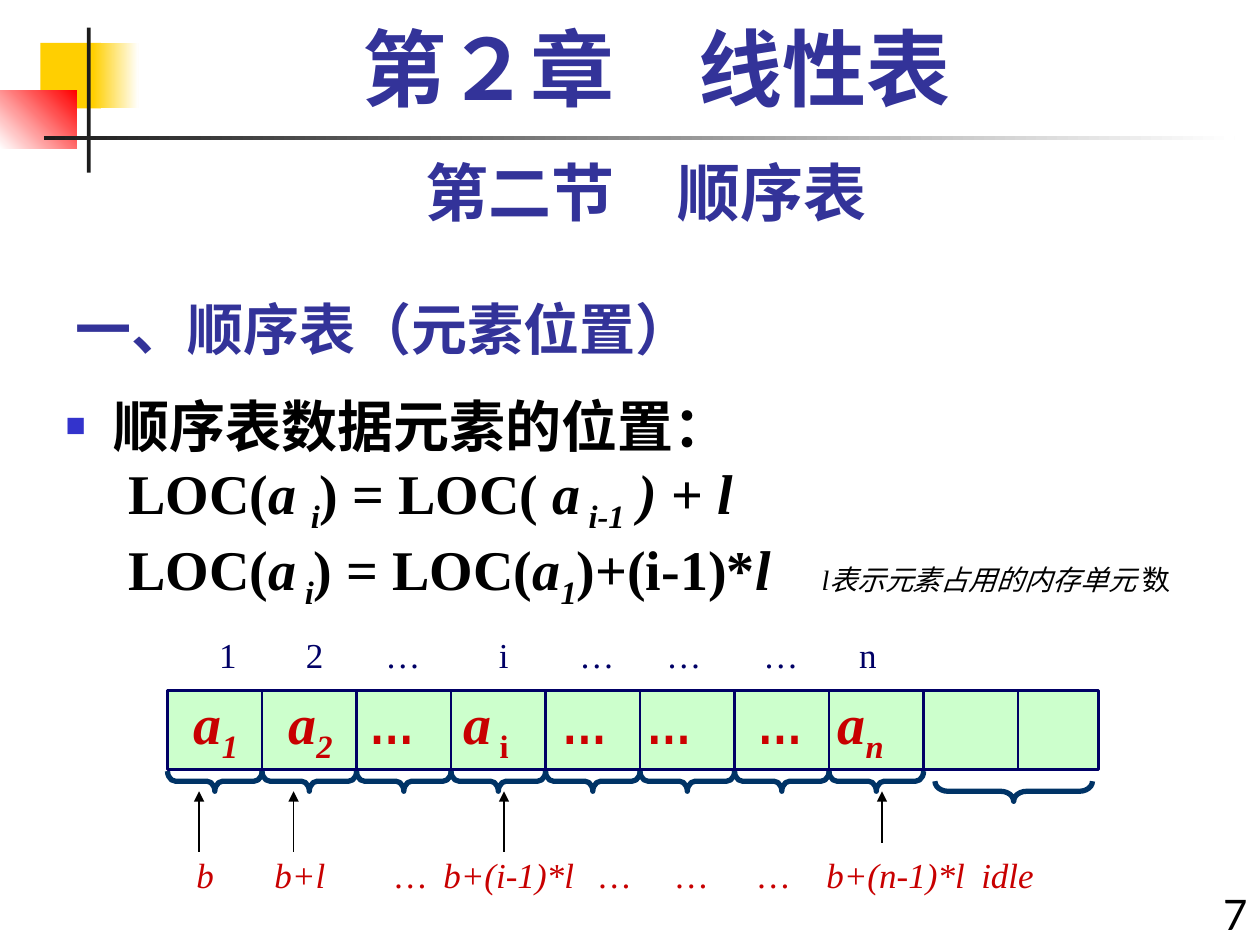
import pptx
import pptx.util
import pptx.dml.color
import pptx.enum.shapes
import pptx.enum.text
import pptx.oxml.ns
import lxml.etree

Inches, Pt = pptx.util.Inches, pptx.util.Pt
SHAPE = pptx.enum.shapes.MSO_SHAPE
ALIGN = pptx.enum.text.PP_ALIGN
ANCHOR = pptx.enum.text.MSO_ANCHOR
qn = pptx.oxml.ns.qn

COLORS = {"gold": "FFCF01", "red": "FF0000", "white": "FFFFFF", "bar": "1C1C1C",
          "heading": "333399", "text": "000000", "bullet": "3333CC", "cell": "CCFFCC",
          "grid": "000066", "brace": "003366", "label": "C80000", "dots": "CC0000"}
CJK, SERIF, SANS = "Noto Sans CJK SC", "Times New Roman", "Lato"

# ---- Content: runs are (text, marks), i = italic, s = subscript, n = note, d = dots
CHAPTER = "第２章\u3000线性表".replace("\u3000", "　")
SECTION = "第二节　顺序表"
TOPIC = "一、顺序表（元素位置）"
LEAD = "顺序表数据元素的位置："
FORMULAS = [
    [("\tLOC(", ""), ("a ", "i"), ("i", "is"), (") = LOC(", ""), (" a", "i"),
     (" i-1", "is"), (" ) ", "i"), ("+ ", ""), ("l", "i")],
    [("\tLOC(", ""), ("a", "i"), (" i", "is"), (") = LOC(", ""), ("a", "i"),
     ("1", "is"), (")+(i-1)*", ""), ("l", "i"), ("\tl表示元素占用的内存单元", "in"),
     (" 数", "n")],
]
DOTS = [("…", "d")]
# Each label is paired with the x position where it starts
INDEXES = [("1", 1.74), ("2", 2.43), ("…", 3.06), ("i", 3.96), ("…", 4.6),
           ("…", 5.29), ("…", 6.06), ("n", 6.82)]
ELEMENTS = [([("a", "i"), ("1", "is")], 1.54), ([("a", "i"), ("2", "is")], 2.29),
            (DOTS, 2.93), ([("a", "i"), (" i", "s")], 3.68), (DOTS, 4.46),
            (DOTS, 5.13), (DOTS, 6.01), ([("a", "i"), ("n", "is")], 6.65)]
ADDRESSES = [("b", 1.56), ("b+l", 2.18), ("…", 3.14), ("b+(i-1)*l", 3.52), ("…", 4.76),
             ("…", 5.37), ("…", 6.02), ("b+(n-1)*l", 6.56), ("idle", 7.79)]
ARROWS = [(1.58, 6.76), (2.33, 6.76), (4, 6.76), (7, 6.69)]  # x, lower end

# ---- Array geometry
ARRAY_LEFT, ARRAY_TOP, ARRAY_WIDTH, ARRAY_HEIGHT = 1.33, 5.48, 7.39, 0.63
CELL, USED_CELLS, DIVIDERS = 0.75, 8, 9
BRACE_DEPTH, ARROW_TIP = 0.16, 6.28


def rgb(name):
    return pptx.dml.color.RGBColor.from_string(COLORS[name])


def style(font, size, face, color, bold=False, italic=False):
    font.size, font.name, font.bold, font.italic = Pt(size), face, bold, italic
    font.color.rgb = rgb(color)
    lxml.etree.SubElement(font._rPr, qn("a:ea"), typeface=CJK)


def add_runs(paragraph, runs):
    for text, marks in runs:
        run = paragraph.add_run()
        run.text = text
        if "i" in marks:
            run.font.italic = True
        if "s" in marks:
            run.font._rPr.set("baseline", "-25000")
        if "n" in marks:
            run.font.size, run.font.bold = Pt(16), False
        if "d" in marks:
            run.font.name = "Arial Narrow"
            run.font.color.rgb = rgb("dots")


def set_tabs(paragraph, stops):
    tabs = lxml.etree.SubElement(paragraph._p.get_or_add_pPr(), qn("a:tabLst"))
    for stop in stops:
        lxml.etree.SubElement(tabs, qn("a:tab"), pos=str(Inches(stop)), algn="l")


def place(shape, left, top, width, height):
    shape.left, shape.top = Inches(left), Inches(top)
    shape.width, shape.height = Inches(width), Inches(height)


def add_text(box, text, align=None, before=0, top_inset=0.05):
    """Text box with one paragraph, returned for styling."""
    frame = slide.shapes.add_textbox(*map(Inches, box)).text_frame
    frame.word_wrap = True
    frame.margin_top = Inches(top_inset)
    paragraph = frame.paragraphs[0]
    paragraph.alignment, paragraph.space_before = align, Pt(before)
    paragraph.add_run().text = text
    return paragraph


def add_label_row(box, labels, top_inset, color, italic=False):
    row = add_text(box, "".join("\t" + text for text, x in labels), top_inset=top_inset)
    set_tabs(row, [x - box[0] - 0.1 for text, x in labels])
    style(row.font, 20, SERIF, color, italic=italic)


def add_box(box, colors, angle=0):
    shape = slide.shapes.add_shape(SHAPE.RECTANGLE, *map(Inches, box))
    shape.shadow.inherit = False
    shape.line.fill.background()
    if len(colors) == 1:
        shape.fill.solid()
        shape.fill.fore_color.rgb = rgb(colors[0])
    else:
        shape.fill.gradient()
        shape.fill.gradient_angle = angle
        for stop, color in zip(shape.fill.gradient_stops, colors):
            stop.color.rgb = rgb(color)
    return shape


def add_line(x, start, end, color, width, arrow=False):
    line = slide.shapes.add_connector(pptx.enum.shapes.MSO_CONNECTOR.STRAIGHT,
                                      Inches(x), Inches(start), Inches(x), Inches(end))
    line.line.color.rgb, line.line.width = rgb(color), Pt(width)
    if arrow:
        lxml.etree.SubElement(line.line._get_or_add_ln(), qn("a:tailEnd"), type="triangle")
    lxml.etree.SubElement(line._element.spPr, qn("a:effectLst"))


def add_brace(left, top, length):
    """Brace opening upwards: a left brace turned a quarter."""
    center_x, center_y = left + length / 2, top + BRACE_DEPTH / 2
    brace = slide.shapes.add_shape(
        SHAPE.LEFT_BRACE, Inches(center_x - BRACE_DEPTH / 2), Inches(center_y - length / 2),
        Inches(BRACE_DEPTH), Inches(length))
    brace.rotation = 270
    brace.adjustments[0] = length / 12 / BRACE_DEPTH
    brace.shadow.inherit = False
    brace.fill.background()
    brace.line.color.rgb, brace.line.width = rgb("brace"), Pt(3)


prs = pptx.Presentation()
prs.slide_width, prs.slide_height = Inches(10), Inches(7.5)
slide = prs.slides.add_slide(prs.slide_layouts[1])

# Corner decoration
add_box((0.32, 0.34, 0.48, 0.52), ["gold"])
add_box((0.74, 0.34, 0.36, 0.52), ["gold", "white"])
add_box((0, 0.72, 0.61, 0.46), ["white", "red"], 45)
add_box((0.69, 0.22, 0.03, 1.15), ["bar"])
add_box((0.35, 1.08, 9.45, 0.03), ["bar", "white"])

# Headings and slide number
chapter = add_text((0.67, 0.17, 9.08, 0.83), CHAPTER, ALIGN.CENTER, 12)
chapter.line_spacing = 0.9
style(chapter.font, 48, SERIF, "heading", bold=True)
section = add_text((0.5, 1.17, 9.25, 0.7), SECTION, ALIGN.CENTER, 22.5)
style(section.font, 36, SANS, "heading", bold=True)
number = add_text((9.33, 7, 0.67, 0.59), "7", ALIGN.RIGHT, 15)
style(number.font, 24, SANS, "text")

title = slide.shapes.title
place(title, 0.5, 2.17, 6.25, 0.75)
title.text_frame.text = TOPIC
title.text_frame.auto_size = pptx.enum.text.MSO_AUTO_SIZE.NONE
title.text_frame.vertical_anchor = ANCHOR.BOTTOM
topic = title.text_frame.paragraphs[0]
topic.alignment = ALIGN.LEFT
style(topic.font, 32, CJK, "heading", bold=True)

# Body: bulleted lead, then the formulas
body = slide.placeholders[1]
place(body, 0.42, 3, 9.58, 4.33)
body.text_frame.auto_size = pptx.enum.text.MSO_AUTO_SIZE.NONE
body.text_frame.margin_right = 0
body.text_frame.text = LEAD
lead = body.text_frame.paragraphs[0]
lead.line_spacing, lead.space_before = 1.1, Pt(28)
props = lead._p.get_or_add_pPr()
props.set("marL", str(Inches(0.38)))
props.set("indent", str(Inches(-0.38)))
bullet_color = lxml.etree.SubElement(props, qn("a:buClr"))
lxml.etree.SubElement(bullet_color, qn("a:srgbClr"), val=COLORS["bullet"])
lxml.etree.SubElement(props, qn("a:buSzPct"), val="60000")
lxml.etree.SubElement(props, qn("a:buChar"), char="■")
style(lead.font, 32, CJK, "text", bold=True)
for runs in FORMULAS:
    formula = body.text_frame.add_paragraph()
    formula.space_before = Pt(0)
    props = formula._p.get_or_add_pPr()
    props.set("marL", "0")
    props.set("indent", "0")
    lxml.etree.SubElement(props, qn("a:buNone"))
    set_tabs(formula, [0.88, 6.54])
    style(formula.font, 32, SERIF, "text", bold=True)
    add_runs(formula, runs)

# Array with its elements and dividers
array = add_box((ARRAY_LEFT, ARRAY_TOP, ARRAY_WIDTH, ARRAY_HEIGHT), ["cell"])
array.line.color.rgb, array.line.width = rgb("grid"), Pt(1.5)
array.text_frame.margin_top = 0
array.text_frame.vertical_anchor = ANCHOR.MIDDLE
elements = array.text_frame.paragraphs[0]
elements.alignment = ALIGN.LEFT
set_tabs(elements, [x - ARRAY_LEFT - 0.1 for runs, x in ELEMENTS])
style(elements.font, 32, SERIF, "label", bold=True)
for runs, x in ELEMENTS:
    add_runs(elements, [("\t", "")] + runs)
array_bottom = ARRAY_TOP + ARRAY_HEIGHT
for i in range(1, DIVIDERS + 1):
    add_line(ARRAY_LEFT + i * CELL, ARRAY_TOP, array_bottom, "grid", 1.5)

# Index row, braces, addresses and arrows
add_label_row((1.42, 4.83, 5.92, 0.64), INDEXES, 0.2, "grid")
for i in range(USED_CELLS):
    add_brace(ARRAY_LEFT + i * CELL, 6.12, CELL)
add_brace(7.42, 6.2, 1.25)
add_label_row((1.08, 6.52, 7.67, 0.7), ADDRESSES, 0.25, "label", italic=True)
for x, start in ARROWS:
    add_line(x, start, ARROW_TIP, "text", 0.75, arrow=True)

prs.save("out.pptx")
